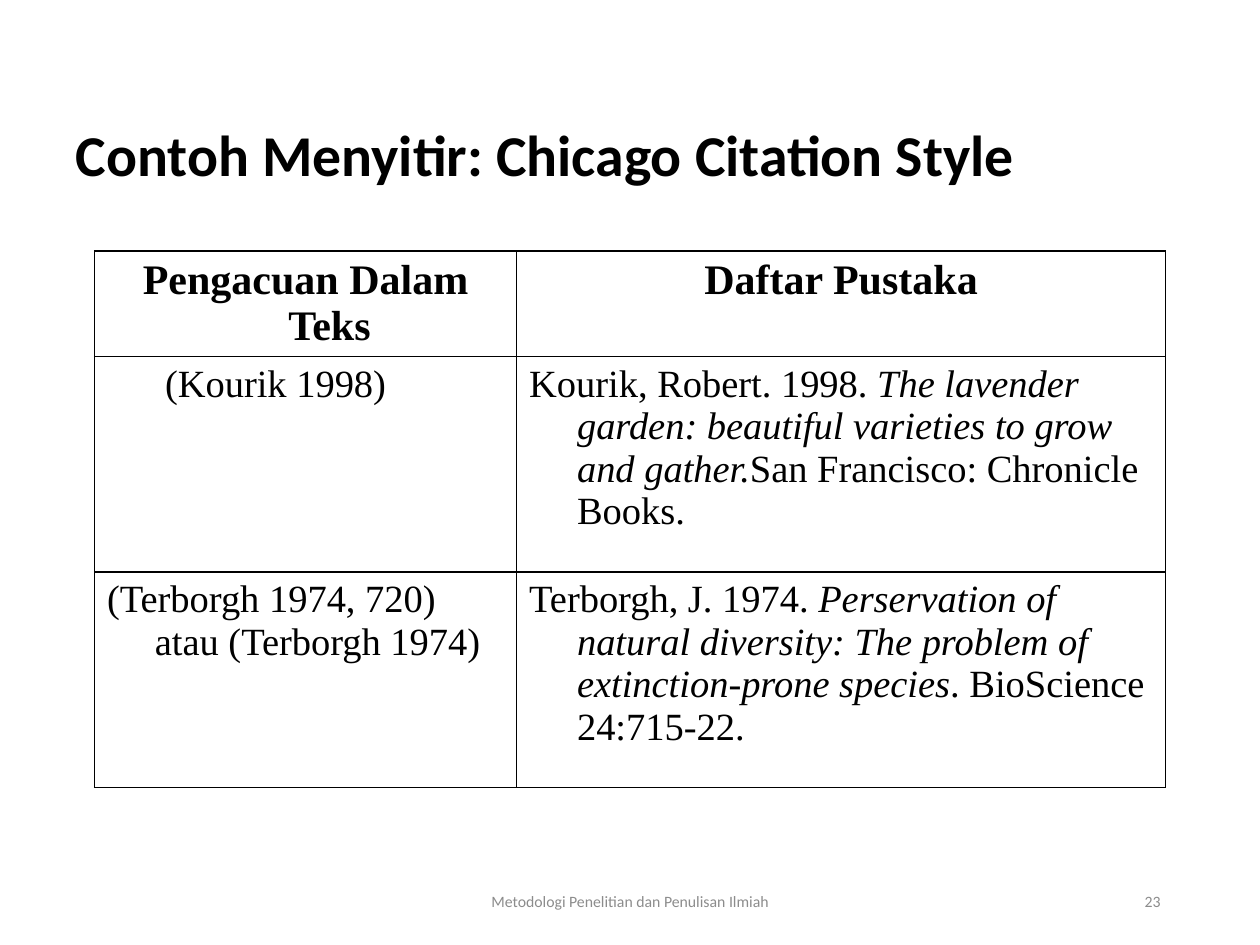
"""Build a slide showing Chicago style citations in a two-column table."""
from lxml import etree
from pptx import Presentation
from pptx import util as u
from pptx.dml.color import RGBColor
from pptx.enum import text
from pptx.oxml import ns

BLACK = RGBColor(0, 0, 0)
GRAY = RGBColor(0x8C, 0x8C, 0x8C)
SANS, SERIF = "Calibri", "Times New Roman"
LEFT, CENTER, RIGHT = text.PP_ALIGN.LEFT, text.PP_ALIGN.CENTER, text.PP_ALIGN.RIGHT

TITLE = "Contoh Menyitir: Chicago Citation Style"
HEADERS = ["Pengacuan Dalam Teks", "Daftar Pustaka"]
CITATIONS = [
    (["(Kourik 1998)"],
     ["Kourik, Robert. 1998. ",
      "The lavender garden: beautiful varieties to grow and gather.",
      "San Francisco: Chronicle Books."]),
    (["(Terborgh 1974, 720) atau (Terborgh 1974)"],
     ["Terborgh, J. 1974. ",
      "Perservation of natural diversity: The problem of extinction-prone species",
      ". BioScience 24:715-22."]),
]
FOOTERS = [
    ("Metodologi Penelitian dan Penulisan Ilmiah", 3.31, 3.38, CENTER),
    ("23", 7.06, 2.25, RIGHT),
]
COL_WIDTHS = [3.35, 5.15]
ROW_HEIGHTS = [0.84, 1.71, 1.71]
HANGING = (0.38, -0.38)
INSET = (0.46, 0)


def add_run(p, words, font, size, color, bold=False, italic=False):
    r = p.add_run()
    r.text = words
    f = r.font
    f.name, f.size, f.bold, f.italic = font, u.Pt(size), bold, italic
    f.color.rgb = color


def set_borders(cell):
    tc_pr = cell._tc.get_or_add_tcPr()
    for i, side in enumerate(("lnL", "lnR", "lnT", "lnB")):
        ln = etree.Element(ns.qn(f"a:{side}"), w=str(u.Pt(1)))
        fill = etree.SubElement(ln, ns.qn("a:solidFill"))
        etree.SubElement(fill, ns.qn("a:srgbClr"), val=str(BLACK))
        tc_pr.insert(i, ln)


def fill_cell(cell, runs, size, align, bold, indent):
    cell.fill.background()
    set_borders(cell)
    p = cell.text_frame.paragraphs[0]
    p.alignment = align
    p_pr = p._p.get_or_add_pPr()
    for name, inches in zip(("marL", "indent"), indent):
        p_pr.set(name, str(u.Inches(inches)))
    for i, words in enumerate(runs):
        add_run(p, words, SERIF, size, BLACK, bold, italic=i == 1)


def add_title(s):
    sp = s.shapes.title
    sp.left, sp.top, sp.width, sp.height = map(u.Inches, (0.5, 0.5, 9, 1.5))
    tf = sp.text_frame
    tf.vertical_anchor = text.MSO_ANCHOR.MIDDLE
    p = tf.paragraphs[0]
    p.alignment, p.line_spacing = LEFT, 0.9
    add_run(p, TITLE, SANS, 33, BLACK, bold=True)


def add_citation_table(s):
    size = (sum(COL_WIDTHS), sum(ROW_HEIGHTS))
    table = s.shapes.add_table(len(ROW_HEIGHTS), len(COL_WIDTHS),
                               *map(u.Inches, (0.75, 1.99, *size))).table
    table.horz_banding = False
    for col, width in zip(table.columns, COL_WIDTHS):
        col.width = u.Inches(width)
    for row, height in zip(table.rows, ROW_HEIGHTS):
        row.height = u.Inches(height)
    for c, header in enumerate(HEADERS):
        fill_cell(table.cell(0, c), [header], 24, CENTER, True, HANGING)
    for r, citation in enumerate(CITATIONS, 1):
        for c, runs in enumerate(citation):
            indent = INSET if (r, c) == (1, 0) else HANGING
            fill_cell(table.cell(r, c), runs, 22, LEFT, False, indent)


def add_footer(s, words, left, width, align):
    tf = s.shapes.add_textbox(*map(u.Inches, (left, 6.95, width, 0.4))).text_frame
    tf.word_wrap = True
    tf.vertical_anchor = text.MSO_ANCHOR.MIDDLE
    p = tf.paragraphs[0]
    p.alignment = align
    add_run(p, words, SANS, 9, GRAY)


def main():
    prs = Presentation()
    prs.slide_width, prs.slide_height = u.Inches(10), u.Inches(7.5)
    s = prs.slides.add_slide(prs.slide_layouts[5])
    add_title(s)
    add_citation_table(s)
    for footer in FOOTERS:
        add_footer(s, *footer)
    prs.save("out.pptx")


if __name__ == "__main__":
    main()
